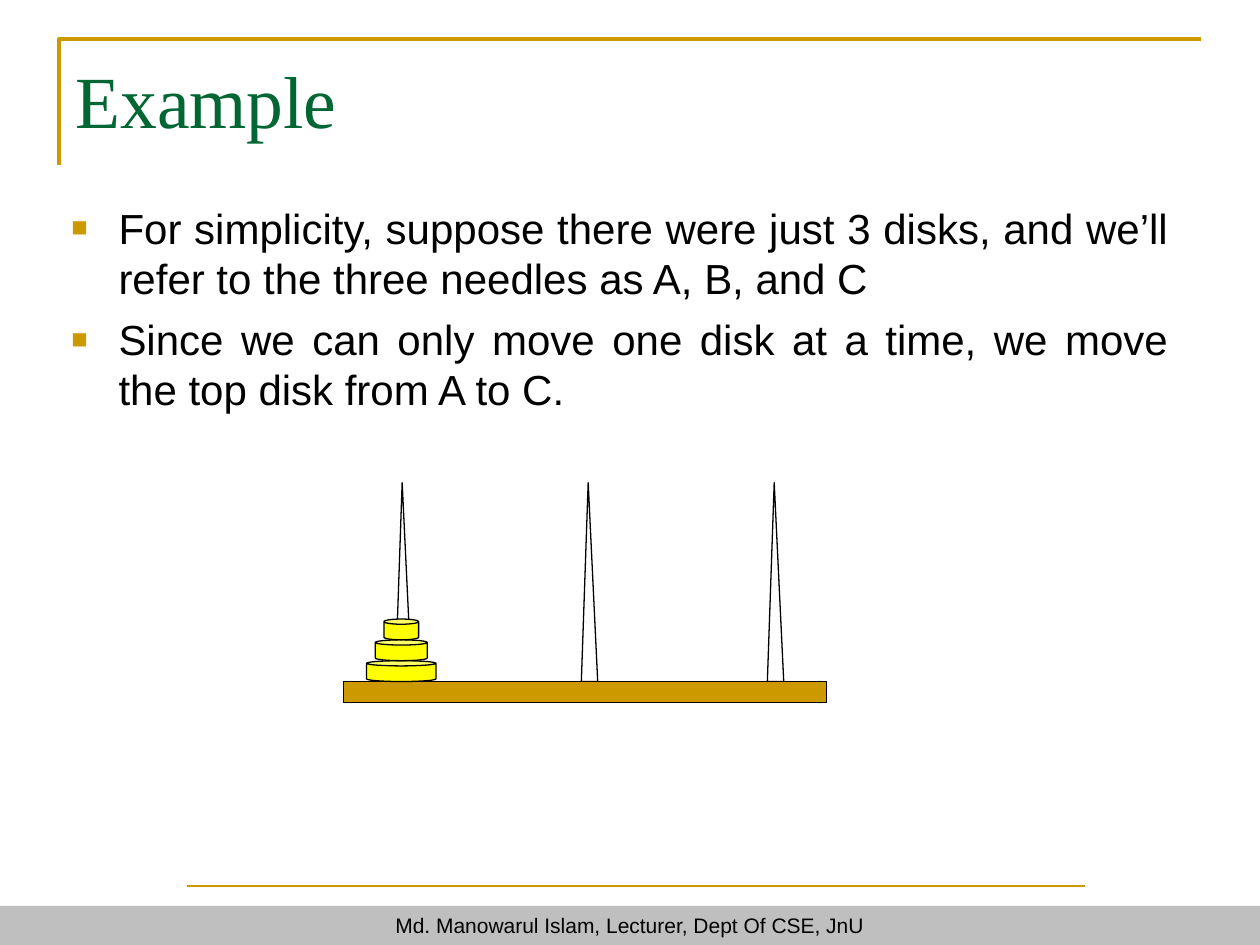
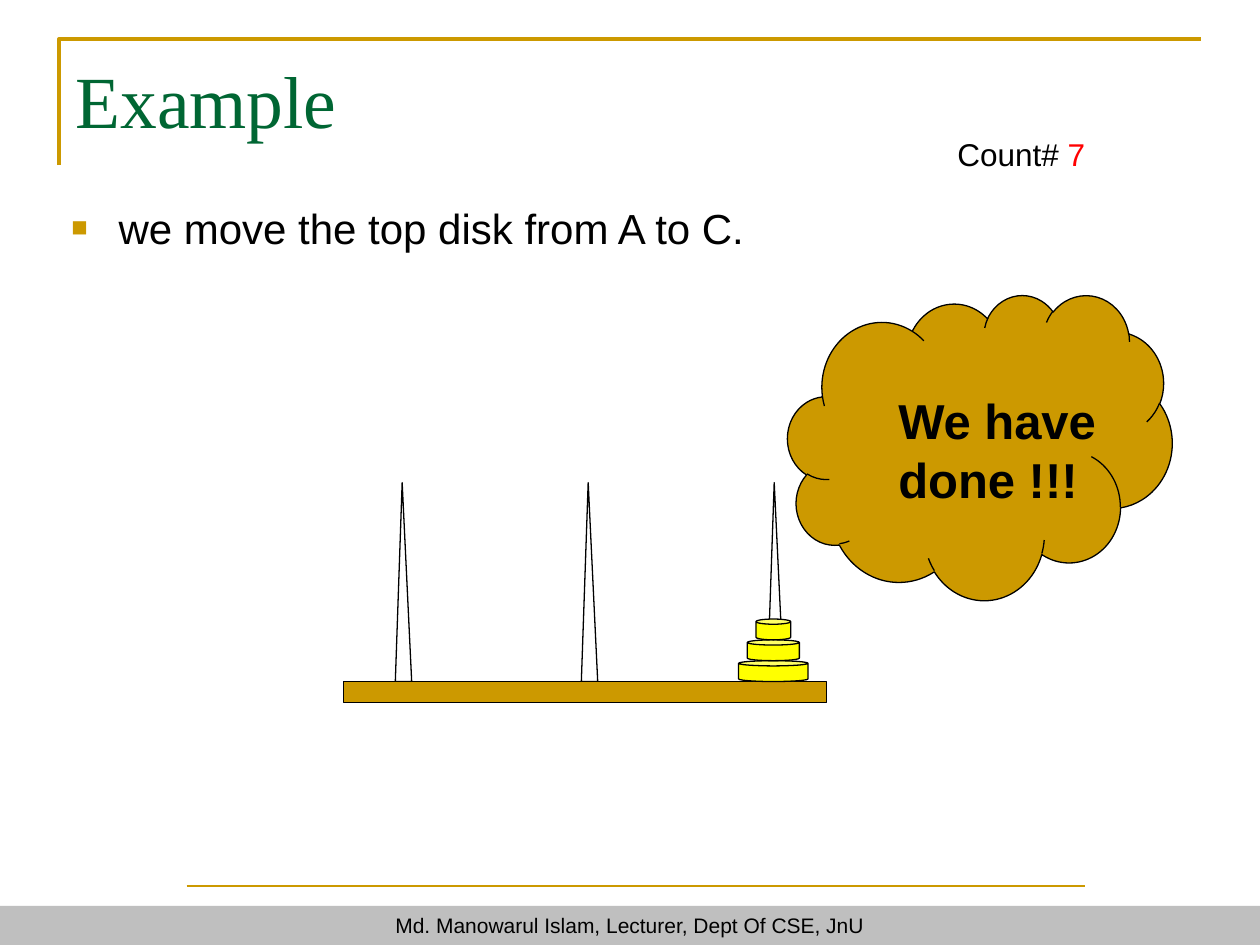
from lxml import etree
from pptx import Presentation
from pptx.dml.color import RGBColor
from pptx.enum.shapes import MSO_CONNECTOR, MSO_SHAPE
from pptx.enum.text import MSO_ANCHOR, PP_ALIGN
from pptx.oxml.ns import qn
from pptx.util import Cm, Pt

COLOURS = {name: RGBColor.from_string(value) for name, value in {
    "gold": "CC9900", "green": "006633", "grey": "BFBFBF", "yellow": "FFFF00",
    "white": "FFFFFF", "black": "000000", "red": "FF0000"}.items()}

PAGES = [
    {"points": ["For simplicity, suppose there were just 3 disks, and we’ll refer "
                "to the three needles as A, B, and C",
                "Since we can only move one disk at a time, we move the top disk "
                "from A to C."],
     "disk_needle": 0, "finished": False},
    {"points": ["we move the top disk from A to C."],
     "disk_needle": 2, "finished": True},
]

# Tower measures in centimetres
BOARD_TOP = 13.74
NEEDLE_LEFT, NEEDLE_STEP, NEEDLE_HEIGHT = 7.97, 3.75, 4.01
DISK_CENTRE, DISK_WIDTH, DISK_SHRINK, DISK_HEIGHT = 8.09, 1.4, 0.35, 0.42


def add_solid(page, kind, left, top, width, height, fill, outlined=True):
    shape = page.shapes.add_shape(kind, Cm(left), Cm(top), Cm(width), Cm(height))
    shape.shadow.inherit = False
    shape.fill.solid()
    shape.fill.fore_color.rgb = COLOURS[fill]
    if outlined:
        shape.line.color.rgb = COLOURS["black"]
        shape.line.width = Pt(0.75)
    else:
        shape.line.fill.background()
    return shape


def style_text(paragraph, size, colour="black", name="Arial", bold=False):
    paragraph.font.name = name
    paragraph.font.size = Pt(size)
    paragraph.font.bold = bold
    paragraph.font.color.rgb = COLOURS[colour]


deck = Presentation()
deck.slide_width, deck.slide_height = Cm(25.4), Cm(19.05)

for content in PAGES:
    page = deck.slides.add_slide(deck.slide_layouts[5])

    # Footer rule and band
    rule = page.shapes.add_connector(
        MSO_CONNECTOR.STRAIGHT, Cm(3.76), Cm(17.86), Cm(21.87), Cm(17.86))
    rule.line.color.rgb = COLOURS["gold"]
    rule.line.width = Pt(1)
    etree.SubElement(rule._element.spPr, qn("a:effectLst"))
    band = add_solid(page, MSO_SHAPE.RECTANGLE, 0, 18.26, 25.4, 0.79, "grey", False)
    band.text_frame.text = "Md. Manowarul Islam, Lecturer, Dept Of CSE, JnU"
    band.text_frame.paragraphs[0].alignment = PP_ALIGN.CENTER
    style_text(band.text_frame.paragraphs[0], 12)

    # Corner frame around the title
    builder = page.shapes.build_freeform(Cm(1.19), Cm(3.33))
    builder.add_line_segments(
        [(Cm(1.19), Cm(0.79)), (Cm(24.21), Cm(0.79))], close=False)
    frame = builder.convert_to_shape()
    frame.shadow.inherit = False
    frame.fill.background()
    frame.line.color.rgb = COLOURS["gold"]
    frame.line.width = Pt(2)

    # Title
    title = page.shapes.title
    title.left, title.top, title.width, title.height = (
        Cm(1.27), Cm(0.99), Cm(22.86), Cm(2.95))
    title.text_frame.text = "Example"
    title.text_frame.vertical_anchor = MSO_ANCHOR.TOP
    title.text_frame.paragraphs[0].alignment = PP_ALIGN.LEFT
    style_text(title.text_frame.paragraphs[0], 42, "green", "Times New Roman")

    # Bulleted points
    box = page.shapes.add_textbox(Cm(1.19), Cm(3.95), Cm(22.61), Cm(4.9))
    box.text_frame.word_wrap = True
    for index, point in enumerate(content["points"]):
        if index:
            paragraph = box.text_frame.add_paragraph()
            paragraph.space_before = Pt(6)
        else:
            paragraph = box.text_frame.paragraphs[0]
        paragraph.text = point
        paragraph.alignment = PP_ALIGN.JUSTIFY
        properties = paragraph._p.get_or_add_pPr()
        properties.set("marL", str(Cm(0.95)))
        properties.set("indent", str(-Cm(0.95)))
        bullet_colour = etree.SubElement(properties, qn("a:buClr"))
        etree.SubElement(bullet_colour, qn("a:srgbClr"), val=str(COLOURS["gold"]))
        etree.SubElement(properties, qn("a:buSzPct"), val="65000")
        etree.SubElement(properties, qn("a:buFont"), typeface="Arial")
        etree.SubElement(properties, qn("a:buChar"), char="■")
        style_text(paragraph, 24)

    # Needles and board
    for index in range(3):
        needle = add_solid(
            page, MSO_SHAPE.ISOSCELES_TRIANGLE, NEEDLE_LEFT + index * NEEDLE_STEP,
            BOARD_TOP - NEEDLE_HEIGHT, 0.33, NEEDLE_HEIGHT, "white")
        needle.adjustments[0] = 0.42
    add_solid(page, MSO_SHAPE.RECTANGLE, 6.93, BOARD_TOP, 9.73, 0.43, "gold")

    # Disks, largest at the bottom
    centre = DISK_CENTRE + content["disk_needle"] * NEEDLE_STEP
    for level in range(3):
        width = DISK_WIDTH - level * DISK_SHRINK
        add_solid(page, MSO_SHAPE.CAN, centre - width / 2,
                  BOARD_TOP - (level + 1) * DISK_HEIGHT, width, DISK_HEIGHT, "yellow")

    if content["finished"]:
        # Move counter
        counter = page.shapes.add_textbox(Cm(19.05), Cm(2.59), Cm(3.58), Cm(1.02))
        counter.text_frame.word_wrap = True
        paragraph = counter.text_frame.paragraphs[0]
        style_text(paragraph, 18)
        paragraph.add_run().text = "Count# "
        span = paragraph.add_run()
        span.text = "7"
        span.font.color.rgb = COLOURS["red"]

        # Closing cloud
        add_solid(page, MSO_SHAPE.CLOUD, 15.88, 5.94, 7.75, 6.15, "gold")
        message = page.shapes.add_textbox(Cm(17.86), Cm(7.75), Cm(5.64), Cm(2.64))
        message.text_frame.word_wrap = True
        message.text_frame.text = "We have done !!!"
        style_text(message.text_frame.paragraphs[0], 28, bold=True)

deck.save("out.pptx")
